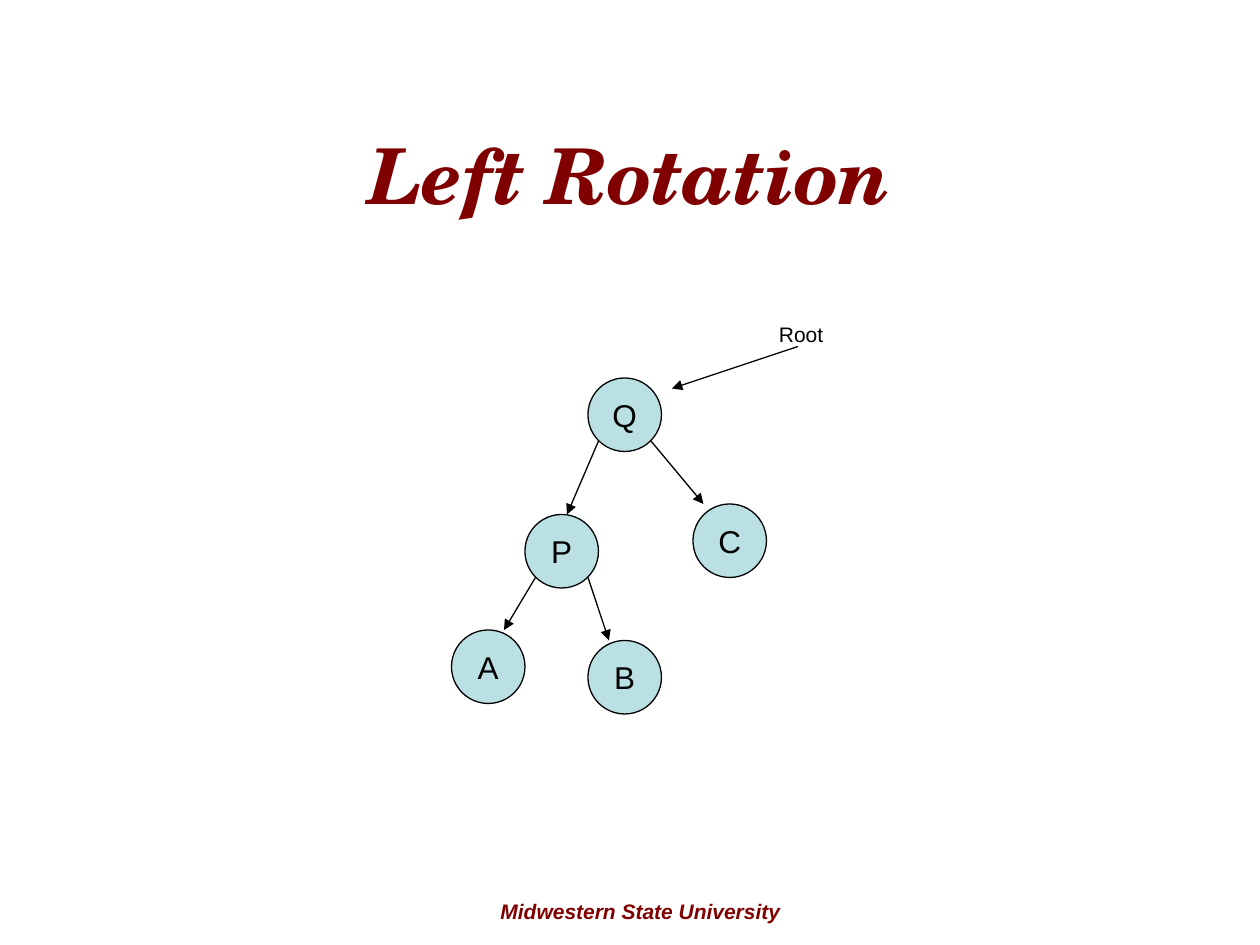
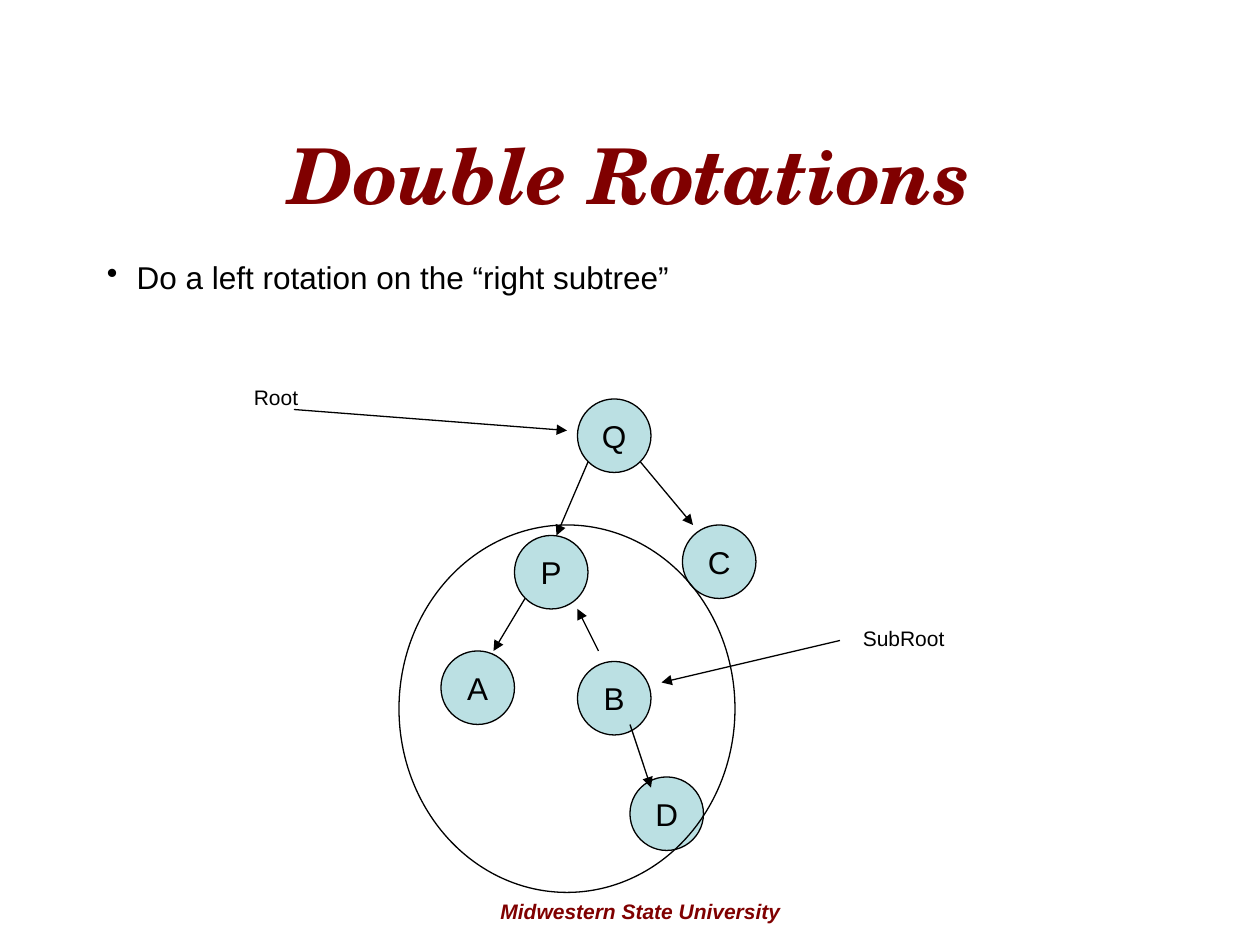
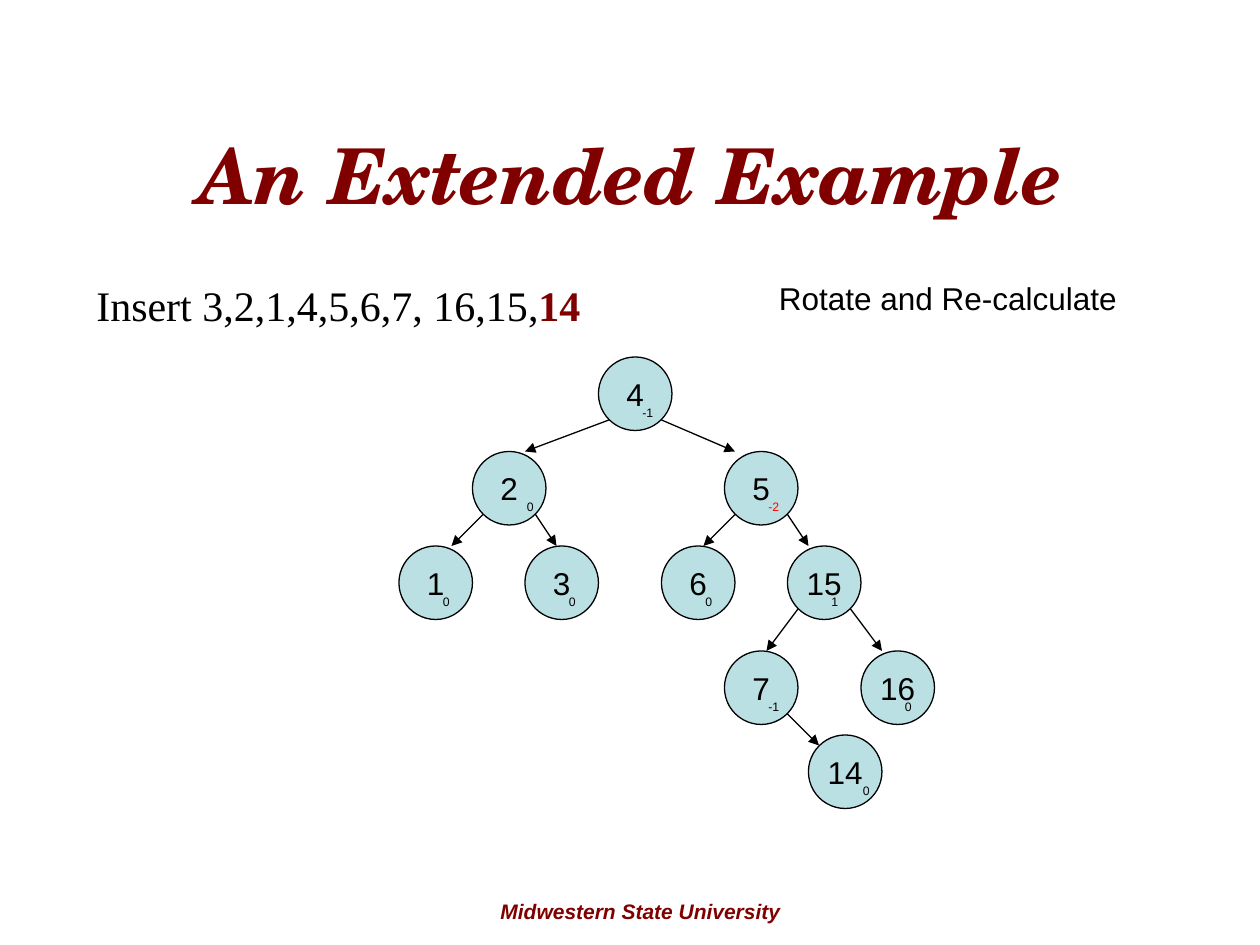
"""Build three slides on tree rotations."""
from lxml.etree import SubElement
from pptx import Presentation
from pptx.dml.color import RGBColor
from pptx.enum.shapes import MSO_CONNECTOR as Connector, MSO_SHAPE as Shape
from pptx.enum.text import MSO_ANCHOR as Anchor, PP_ALIGN as Align
from pptx.oxml.ns import qn
from pptx.util import Pt

MAROON = RGBColor(0x80, 0x00, 0x00)
BLACK = RGBColor(0x00, 0x00, 0x00)
RED = RGBColor(0xFF, 0x00, 0x00)
PALE_TEAL = RGBColor(0xBB, 0xE0, 0xE3)
BODY_FONT = "Arial"
TITLE_FONT = "TeX Gyre Schola"
SERIF_FONT = "Times New Roman"
NODE_SIZE = 42


class Deck:
    def __init__(self):
        self.presentation = Presentation()
        self.presentation.slide_width = Pt(720)
        self.presentation.slide_height = Pt(540)
        self.slide = None

    def style(self, paragraph, size, color=BLACK, name=BODY_FONT, strong=False, align=Align.LEFT):
        paragraph.alignment = align
        font = paragraph.font
        font.size, font.name = Pt(size), name
        font.bold = font.italic = strong
        font.color.rgb = color

    def add_slide(self, title):
        self.slide = self.presentation.slides.add_slide(self.presentation.slide_layouts[5])
        heading = self.slide.shapes.title
        heading.left, heading.top, heading.width, heading.height = Pt(36), Pt(54), Pt(648), Pt(90)
        heading.text_frame.text = title
        heading.text_frame.vertical_anchor = Anchor.MIDDLE
        self.style(heading.text_frame.paragraphs[0], 44, MAROON, TITLE_FONT, True, Align.CENTER)
        self.text("Midwestern State University", 252, 510, 228, 22, 12, MAROON,
                  strong=True, align=Align.CENTER)

    def text(self, content, left, top, width, height, size, color=BLACK, **options):
        box = self.slide.shapes.add_textbox(Pt(left), Pt(top), Pt(width), Pt(height))
        box.text_frame.word_wrap = True
        paragraph = box.text_frame.paragraphs[0]
        paragraph.text = content
        self.style(paragraph, size, color, **options)
        return paragraph

    def bullet(self, content, left, top, width, height, size):
        paragraph = self.text(content, left, top, width, height, size)
        properties = paragraph._p.get_or_add_pPr()
        properties.set("marL", str(Pt(17)))
        properties.set("indent", str(-Pt(17)))
        SubElement(properties, qn("a:buChar")).set("char", "•")
        properties.insert(0, properties.find(qn("a:buChar")))

    def ellipse(self, left, top, width, height):
        shape = self.slide.shapes.add_shape(Shape.OVAL, Pt(left), Pt(top), Pt(width), Pt(height))
        shape.shadow.inherit = False
        shape.fill.background()
        shape.line.color.rgb = BLACK
        shape.line.width = Pt(0.75)
        return shape

    def node(self, label, left, top):
        shape = self.ellipse(left, top, NODE_SIZE, NODE_SIZE)
        shape.fill.solid()
        shape.fill.fore_color.rgb = PALE_TEAL
        frame = shape.text_frame
        frame.word_wrap = False
        frame.vertical_anchor = Anchor.MIDDLE
        frame.text = label
        self.style(frame.paragraphs[0], 18, align=Align.CENTER)

    def arrow(self, start_x, start_y, end_x, end_y):
        line = self.slide.shapes.add_connector(
            Connector.STRAIGHT, Pt(start_x), Pt(start_y), Pt(end_x), Pt(end_y))
        line.line.color.rgb = BLACK
        line.line.width = Pt(0.75)
        properties = line._element.spPr
        SubElement(properties.find(qn("a:ln")), qn("a:tailEnd")).set("type", "triangle")
        SubElement(properties, qn("a:effectLst"))

    def branch(self, parent, child, entry_x, entry_y=0):
        exit_x = 6 if child[0] < parent[0] else 36
        self.arrow(parent[0] + exit_x, parent[1] + 36, child[0] + entry_x, child[1] + entry_y)

    def rotation_tree(self, left, top):
        offsets = {"Q": (0, 0), "P": (-36, 78), "A": (-78, 144), "B": (0, 150), "C": (60, 72)}
        nodes = {label: (left + x, top + y) for label, (x, y) in offsets.items()}
        for label, place in nodes.items():
            self.node(label, *place)
        for parent, child, entry_x in (("Q", "P", 24), ("P", "A", 30), ("Q", "C", 6)):
            self.branch(nodes[parent], nodes[child], entry_x)
        return nodes


def left_rotation(deck):
    deck.add_slide("Left Rotation")
    nodes = deck.rotation_tree(336, 216)
    deck.branch(nodes["P"], nodes["B"], 12)
    deck.text("Root", 438, 180, 48, 22, 12)
    deck.arrow(456, 198, 384, 222)


def double_rotations(deck):
    deck.add_slide("Double Rotations")
    deck.bullet("Do a left rotation on the “right subtree”", 54, 144, 618, 29, 18)
    deck.rotation_tree(330, 228)
    deck.arrow(342, 372, 330, 348)
    deck.text("Root", 138, 216, 48, 22, 12)
    deck.arrow(168, 234, 324, 246)
    deck.node("D", 360, 444)
    deck.arrow(360, 414, 372, 450)
    deck.ellipse(228, 300, 192, 210)
    deck.text("SubRoot", 486, 354, 72, 22, 12)
    deck.arrow(480, 366, 378, 390)


def extended_example(deck):
    deck.add_slide("An Extended Example")
    insertions = deck.text("Insert 3,2,1,4,5,6,7, 16,15,", 48, 156, 510, 36, 24, name=SERIF_FONT)
    newest = insertions.add_run()
    newest.text = "14"
    newest.font.bold = True
    newest.font.color.rgb = MAROON
    deck.text("Rotate and Re-calculate", 438, 156, 240, 29, 18)

    nodes = {
        "4": (342, 204), "2": (270, 258), "5": (414, 258), "1": (228, 312), "3": (300, 312),
        "6": (378, 312), "15": (450, 312), "7": (414, 372), "16": (492, 372), "14": (462, 420),
    }
    balances = {"4": "-1", "5": "-2", "15": "1", "7": "-1"}
    for label, (left, top) in nodes.items():
        deck.node(label, left, top)
        balance = balances.get(label, "0")
        shift = 24 if label in ("2", "14") else 18
        deck.text(balance, left + shift, top + 24, 24, 16, 7, RED if balance == "-2" else BLACK)

    branches = (
        ("4", "2", 30), ("4", "5", 6), ("2", "1", 30), ("2", "3", 18), ("5", "6", 24),
        ("5", "15", 12), ("15", "7", 24), ("15", "16", 12), ("7", "14", 6, 6),
    )
    for parent, child, *entry in branches:
        deck.branch(nodes[parent], nodes[child], *entry)


def main():
    deck = Deck()
    left_rotation(deck)
    double_rotations(deck)
    extended_example(deck)
    deck.presentation.save("out.pptx")


if __name__ == "__main__":
    main()
